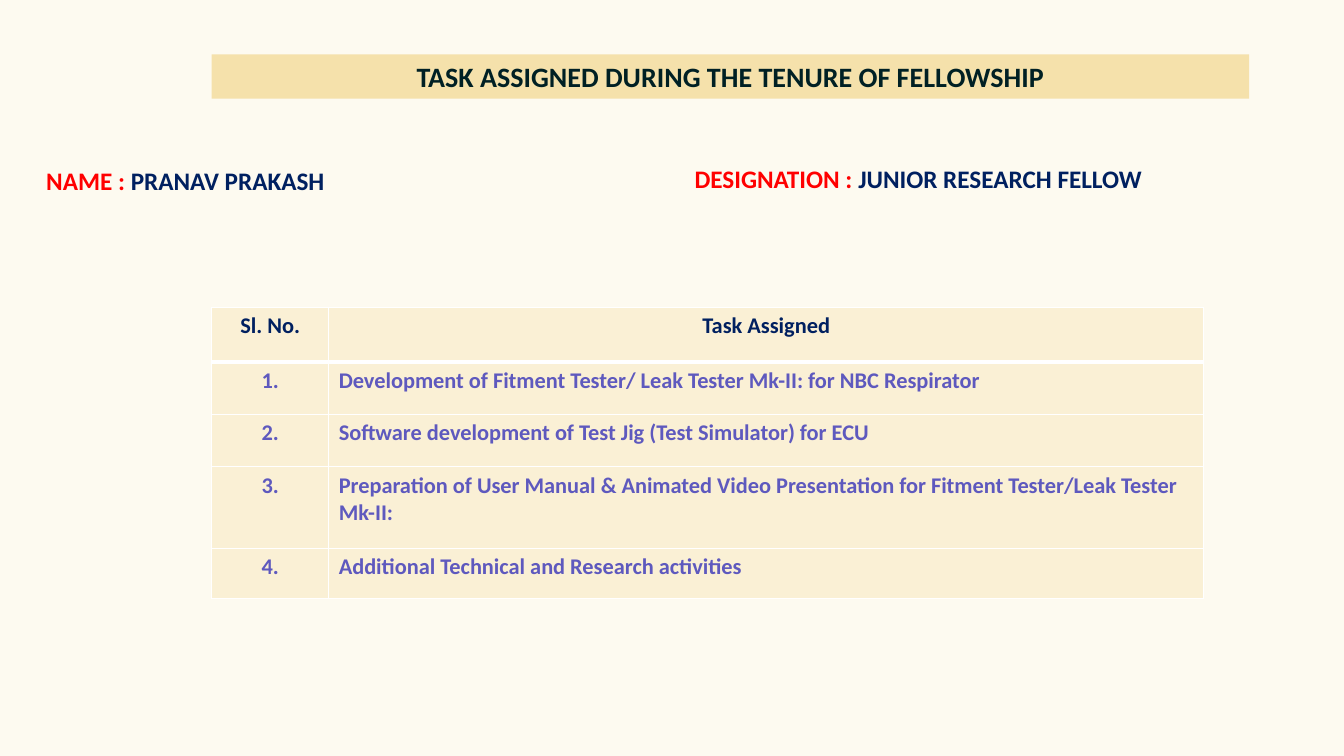
from dataclasses import dataclass

from lxml import etree
from pptx import Presentation
from pptx.dml.color import RGBColor
from pptx.enum.shapes import MSO_SHAPE
from pptx.enum.text import MSO_ANCHOR, PP_ALIGN
from pptx.oxml.ns import qn
from pptx.util import Inches, Pt

RECTANGLE = MSO_SHAPE.RECTANGLE
MIDDLE = MSO_ANCHOR.MIDDLE
LEFT = PP_ALIGN.LEFT
CENTER = PP_ALIGN.CENTER


@dataclass(frozen=True)
class Theme:
    font: str = "Calibri"
    background: str = "FDFAF0"
    banner: str = "F5E1AB"
    cell: str = "FAF0D5"
    border: str = "FFFFFF"
    title: str = "002024"
    label: str = "FF0000"
    navy: str = "002060"
    task: str = "5E59BE"
    title_size: int = 20
    detail_size: int = 18
    table_size: int = 16
    thin: int = 1
    thick: int = 3


THEME = Theme()
TASKS = [
    "Development of Fitment Tester/ Leak Tester Mk-II: for NBC Respirator",
    "Software development of Test Jig (Test Simulator) for ECU",
    "Preparation of User Manual & Animated Video Presentation for Fitment Tester/Leak Tester Mk-II:",
    "Additional Technical and Research activities",
]
COLUMN_WIDTHS = [1.16, 8.68]
ROW_HEIGHTS = [0.54, 0.52, 0.52, 0.81, 0.5]


def write_text(text_frame, *parts, size, align=LEFT):
    text_frame.word_wrap = True
    paragraph = text_frame.paragraphs[0]
    paragraph.alignment = align
    for text, color in parts:
        run = paragraph.add_run()
        run.text = text
        run.font.name = THEME.font
        run.font.size = Pt(size)
        run.font.bold = True
        run.font.color.rgb = RGBColor.from_string(color)


def add_banner(slide, left, top, width, height, text):
    banner = slide.shapes.add_shape(
        RECTANGLE, Inches(left), Inches(top), Inches(width), Inches(height))
    banner.shadow.inherit = False
    banner.fill.solid()
    banner.fill.fore_color.rgb = RGBColor.from_string(THEME.banner)
    banner.line.fill.background()
    banner.text_frame.vertical_anchor = MIDDLE
    write_text(banner.text_frame, (text, THEME.title), size=THEME.title_size, align=CENTER)


def add_detail(slide, left, top, width, height, label, value):
    box = slide.shapes.add_textbox(
        Inches(left), Inches(top), Inches(width), Inches(height))
    write_text(box.text_frame, (label, THEME.label), (value, THEME.navy),
               size=THEME.detail_size)


def set_borders(cell, **widths):
    properties = cell._tc.get_or_add_tcPr()
    for side in ("L", "R", "T", "B"):
        line = etree.SubElement(properties, qn(f"a:ln{side}"),
                                w=str(Pt(widths.get(side, THEME.thin))))
        fill = etree.SubElement(line, qn("a:solidFill"))
        etree.SubElement(fill, qn("a:srgbClr"), val=THEME.border)


def add_task_table(slide, left, top, width, height):
    rows = [("Sl. No.", "Task Assigned")]
    rows += [(f"{number}.", task) for number, task in enumerate(TASKS, 1)]
    table = slide.shapes.add_table(
        len(rows), len(COLUMN_WIDTHS),
        Inches(left), Inches(top), Inches(width), Inches(height)).table
    for column, column_width in zip(table.columns, COLUMN_WIDTHS):
        column.width = Inches(column_width)
    for row, row_height in zip(table.rows, ROW_HEIGHTS):
        row.height = Inches(row_height)
    for row_index, texts in enumerate(rows):
        is_header = row_index == 0
        for column_index, text in enumerate(texts):
            cell = table.cell(row_index, column_index)
            set_borders(cell,
                        T=THEME.thick if row_index == 1 else THEME.thin,
                        B=THEME.thick if is_header else THEME.thin)
            cell.fill.solid()
            cell.fill.fore_color.rgb = RGBColor.from_string(THEME.cell)
            write_text(cell.text_frame,
                       (text, THEME.navy if is_header else THEME.task),
                       size=THEME.table_size,
                       align=CENTER if is_header or column_index == 0 else LEFT)


def build_task_slide(presentation):
    slide = presentation.slides.add_slide(presentation.slide_layouts[6])
    slide.background.fill.solid()
    slide.background.fill.fore_color.rgb = RGBColor.from_string(THEME.background)
    add_banner(slide, 2.1, 0.54, 10.29, 0.44,
               "TASK ASSIGNED DURING THE TENURE OF FELLOWSHIP")
    add_detail(slide, 0.36, 1.59, 3.78, 0.4, "NAME : ", "PRANAV PRAKASH")
    add_detail(slide, 6.79, 1.57, 5.77, 0.4, "DESIGNATION : ", "JUNIOR RESEARCH FELLOW")
    add_task_table(slide, 2.1, 3.05, sum(COLUMN_WIDTHS), sum(ROW_HEIGHTS))


def main():
    presentation = Presentation()
    presentation.slide_width = Inches(13.33)
    presentation.slide_height = Inches(7.5)
    build_task_slide(presentation)
    presentation.save("out.pptx")


if __name__ == "__main__":
    main()
